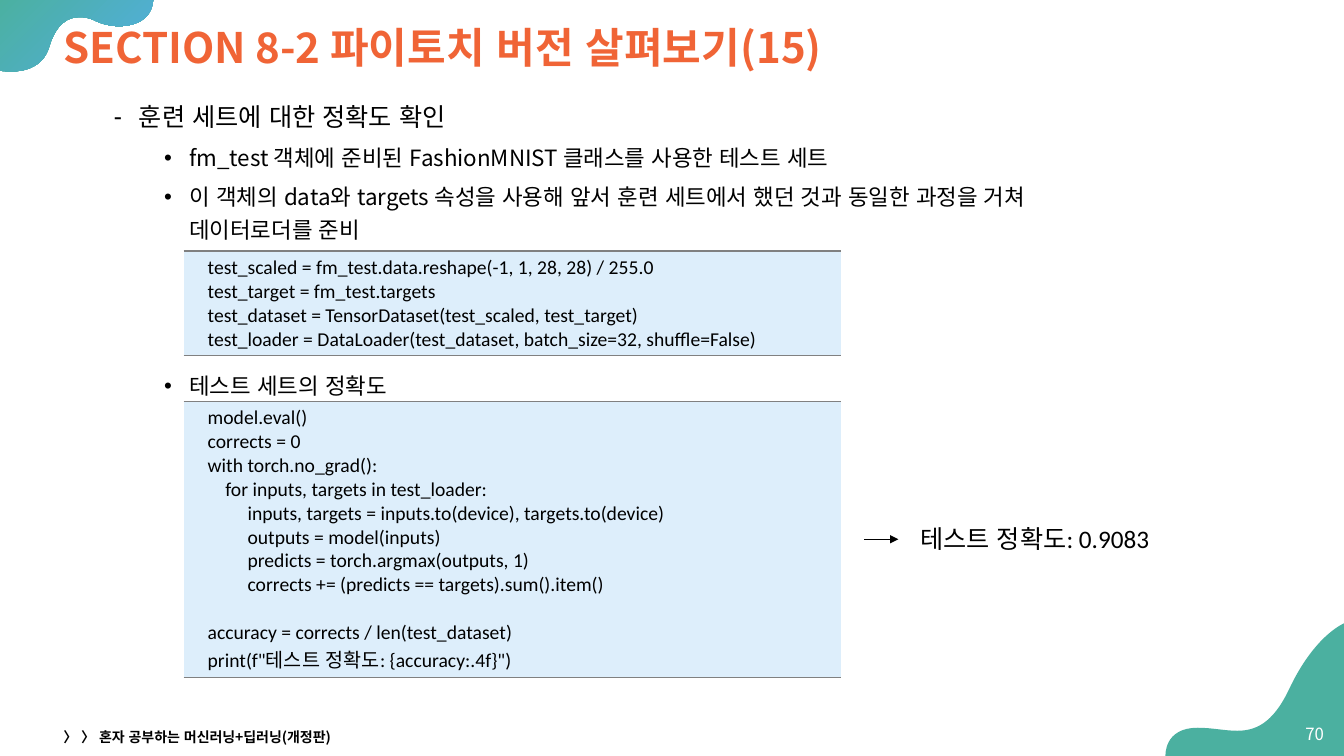
from pptx import Presentation
from pptx.dml.color import RGBColor
from pptx.enum.lang import MSO_LANGUAGE_ID
from pptx.enum.shapes import MSO_CONNECTOR
from pptx.enum.text import MSO_ANCHOR, PP_ALIGN
from pptx.oxml.ns import qn
from pptx.util import Inches, Pt
from lxml import etree

KOREAN = MSO_LANGUAGE_ID.KOREAN
STRAIGHT = MSO_CONNECTOR.STRAIGHT
TOP, MIDDLE = MSO_ANCHOR.TOP, MSO_ANCHOR.MIDDLE
LEFT, RIGHT = PP_ALIGN.LEFT, PP_ALIGN.RIGHT

BLACK = RGBColor(0, 0, 0)
WHITE = RGBColor(255, 255, 255)
ORANGE = RGBColor(0xF0, 0x64, 0x36)
GREEN = RGBColor(0x4B, 0xB0, 0xA0)
SKY = RGBColor(0x52, 0xAE, 0xE1)
CODE_FILL = RGBColor(0xDD, 0xEE, 0xFB)
BORDER_GREY = RGBColor(0x80, 0x80, 0x80)

KOREAN_FONT = "Noto Sans CJK KR"
CODE_FONT = "Calibri"

# An outline is a start point, then one-point lines and three-point curves.
TOP_WAVE = [
    [(1.52, -0.02)], [(-0.01, -0.02)], [(-0.01, 0.7)],
    [(-0.01, 0.7), (0.04, 0.71), (0.11, 0.71)],
    [(0.24, 0.71), (0.43, 0.67), (0.49, 0.46)],
    [(0.56, 0.23), (0.68, 0.17), (0.79, 0.17)],
    [(0.84, 0.17), (0.89, 0.18), (0.93, 0.2)],
    [(1.01, 0.24), (1.1, 0.26), (1.18, 0.26)],
    [(1.37, 0.26), (1.52, 0.17), (1.52, -0.02)],
]
BOTTOM_WAVE = [
    [(13.34, 6.18)],
    [(13.34, 6.18), (13.04, 6.29), (12.78, 6.85)],
    [(12.62, 7.18), (12.45, 7.25), (12.27, 7.25)],
    [(12.15, 7.25), (12.02, 7.22), (11.88, 7.22)],
    [(11.54, 7.22), (11.56, 7.5), (11.56, 7.5)],
    [(13.34, 7.5)], [(13.34, 6.18)],
]

LOADER_CODE = """\
test_scaled = fm_test.data.reshape(-1, 1, 28, 28) / 255.0
test_target = fm_test.targets
test_dataset = TensorDataset(test_scaled, test_target)
test_loader = DataLoader(test_dataset, batch_size=32, shuffle=False)"""

ACCURACY_CODE = """\
model.eval()
corrects = 0
with torch.no_grad():
    for inputs, targets in test_loader:
         inputs, targets = inputs.to(device), targets.to(device)
         outputs = model(inputs)
         predicts = torch.argmax(outputs, 1)
         corrects += (predicts == targets).sum().item()

accuracy = corrects / len(test_dataset)
print(f"테스트 정확도: {accuracy:.4f}")"""


def add_wave(slide, outline):
    """Draw the outline with straight lines, then bend each group of three into a curve."""
    points = [(Inches(x), Inches(y)) for part in outline for x, y in part]
    builder = slide.shapes.build_freeform(*points[0])
    builder.add_line_segments(points[1:], close=True)
    shape = builder.convert_to_shape()
    lines = iter(list(shape._element.iter(qn("a:lnTo"))))
    for part in outline[1:]:
        group = [next(lines) for _ in part]
        if len(group) == 3:
            curve = etree.Element(qn("a:cubicBezTo"))
            group[0].addprevious(curve)
            for line in group:
                curve.append(line[0])
                line.getparent().remove(line)
    shape.shadow.inherit = False
    shape.line.fill.background()
    shape.fill.solid()
    shape.fill.fore_color.rgb = GREEN
    return shape


def add_run(paragraph, text, size, font=KOREAN_FONT, color=BLACK, bold=False):
    run = paragraph.add_run()
    run.text = text
    run.font.size = Pt(size)
    run.font.name = font
    run.font.bold = bold
    run.font.color.rgb = color
    run.font.language_id = KOREAN
    east_asian = etree.SubElement(run.font._element, qn("a:ea"))
    east_asian.set("typeface", KOREAN_FONT)


def add_text_frame(slide, left, top, width, height, anchor=TOP):
    box = slide.shapes.add_textbox(Inches(left), Inches(top), Inches(width), Inches(height))
    box.text_frame.word_wrap = True
    box.text_frame.vertical_anchor = anchor
    return box.text_frame


def add_label(slide, left, top, width, height, text, size,
              anchor=MIDDLE, align=LEFT, **style):
    paragraph = add_text_frame(slide, left, top, width, height, anchor).paragraphs[0]
    paragraph.alignment = align
    add_run(paragraph, text, size, **style)


def add_bullets(slide, top, height, items):
    """Items are (bullet, indent in inches, size, lines)."""
    frame = add_text_frame(slide, 0.53, top, 11.92, height)
    for index, (bullet, indent, size, lines) in enumerate(items):
        paragraph = frame.add_paragraph() if index else frame.paragraphs[0]
        properties = paragraph._p.get_or_add_pPr()
        properties.set("marL", str(Inches(indent)))
        properties.set("indent", str(Inches(-0.25)))
        etree.SubElement(properties, qn("a:buFont")).set("typeface", "Arial")
        etree.SubElement(properties, qn("a:buChar")).set("char", bullet)
        paragraph.line_spacing = 1.2
        paragraph.space_before = Pt(5 if index else 0)
        for line_index, line in enumerate(lines):
            if line_index:
                paragraph.add_line_break()
            add_run(paragraph, line, size)


def set_code_borders(cell):
    """Rule the top and bottom of the cell and leave its sides open."""
    properties = cell._tc.get_or_add_tcPr()
    for index, side in enumerate(("lnL", "lnR", "lnT", "lnB")):
        line = etree.Element(qn(f"a:{side}"), w=str(Pt(1)))
        if side in ("lnT", "lnB"):
            fill = etree.SubElement(line, qn("a:solidFill"))
            etree.SubElement(fill, qn("a:srgbClr")).set("val", str(BORDER_GREY))
        else:
            etree.SubElement(line, qn("a:noFill"))
        properties.insert(index, line)


def add_code_table(slide, top, height, code):
    table = slide.shapes.add_table(1, 1, Inches(1.82), Inches(top),
                                   Inches(6.52), Inches(height)).table
    table.first_row = False
    table.horz_banding = False
    cell = table.cell(0, 0)
    cell.margin_left = Inches(0.24)
    cell.fill.solid()
    cell.fill.fore_color.rgb = CODE_FILL
    set_code_borders(cell)
    for index, line in enumerate(code.split("\n")):
        frame = cell.text_frame
        paragraph = frame.add_paragraph() if index else frame.paragraphs[0]
        paragraph.font.size = Pt(14)
        if line:
            add_run(paragraph, line, 14, font=CODE_FONT)
        else:
            etree.SubElement(paragraph._p, qn("a:endParaRPr")).set("sz", "1400")


def add_arrow(slide, left, right, y):
    arrow = slide.shapes.add_connector(STRAIGHT, Inches(left), Inches(y),
                                       Inches(right), Inches(y))
    arrow.line.color.rgb = BLACK
    arrow.line.width = Pt(0.5)
    etree.SubElement(arrow.line._get_or_add_ln(), qn("a:tailEnd")).set("type", "triangle")
    etree.SubElement(arrow._element.spPr, qn("a:effectLst"))


def main():
    presentation = Presentation()
    presentation.slide_width = Inches(13.33)
    presentation.slide_height = Inches(7.5)
    slide = presentation.slides.add_slide(presentation.slide_layouts[6])

    top_wave = add_wave(slide, TOP_WAVE)
    top_wave.fill.gradient()
    top_wave.fill.gradient_angle = 315
    for stop, color in zip(top_wave.fill.gradient_stops, (GREEN, SKY)):
        stop.color.rgb = color
    add_wave(slide, BOTTOM_WAVE)

    add_label(slide, 0.53, 0.1, 12.34, 0.73, "SECTION 8-2 파이토치 버전 살펴보기(15)", 30,
              color=ORANGE, bold=True)
    add_bullets(slide, 0.9, 1.55, [
        ("⁃", 0.75, 18, ["훈련 세트에 대한 정확도 확인"]),
        ("•", 1.25, 16, ["fm_test 객체에 준비된 FashionMNIST 클래스를 사용한 테스트 세트"]),
        ("•", 1.25, 16, ["이 객체의 data와 targets 속성을 사용해 앞서 훈련 세트에서 했던 것과 동일한 과정을 거쳐 ",
                         "데이터로더를 준비"]),
    ])
    add_code_table(slide, 2.49, 1.04, LOADER_CODE)
    add_bullets(slide, 3.59, 0.4, [("•", 1.25, 16, ["테스트 세트의 정확도"])])
    add_code_table(slide, 3.98, 2.74, ACCURACY_CODE)
    add_arrow(slide, 8.57, 8.91, 5.35)
    add_label(slide, 9.03, 5.14, 3.34, 0.4, "테스트 정확도: 0.9083", 18,
              anchor=TOP, font=CODE_FONT)

    add_label(slide, 0.53, 7.19, 4.5, 0.24, "〉 〉 혼자 공부하는 머신러닝+딥러닝(개정판)", 10,
              bold=True)
    add_label(slide, 12.79, 7.08, 0.44, 0.4, "70", 12, align=RIGHT, color=WHITE)
    presentation.save("out.pptx")


if __name__ == "__main__":
    main()
